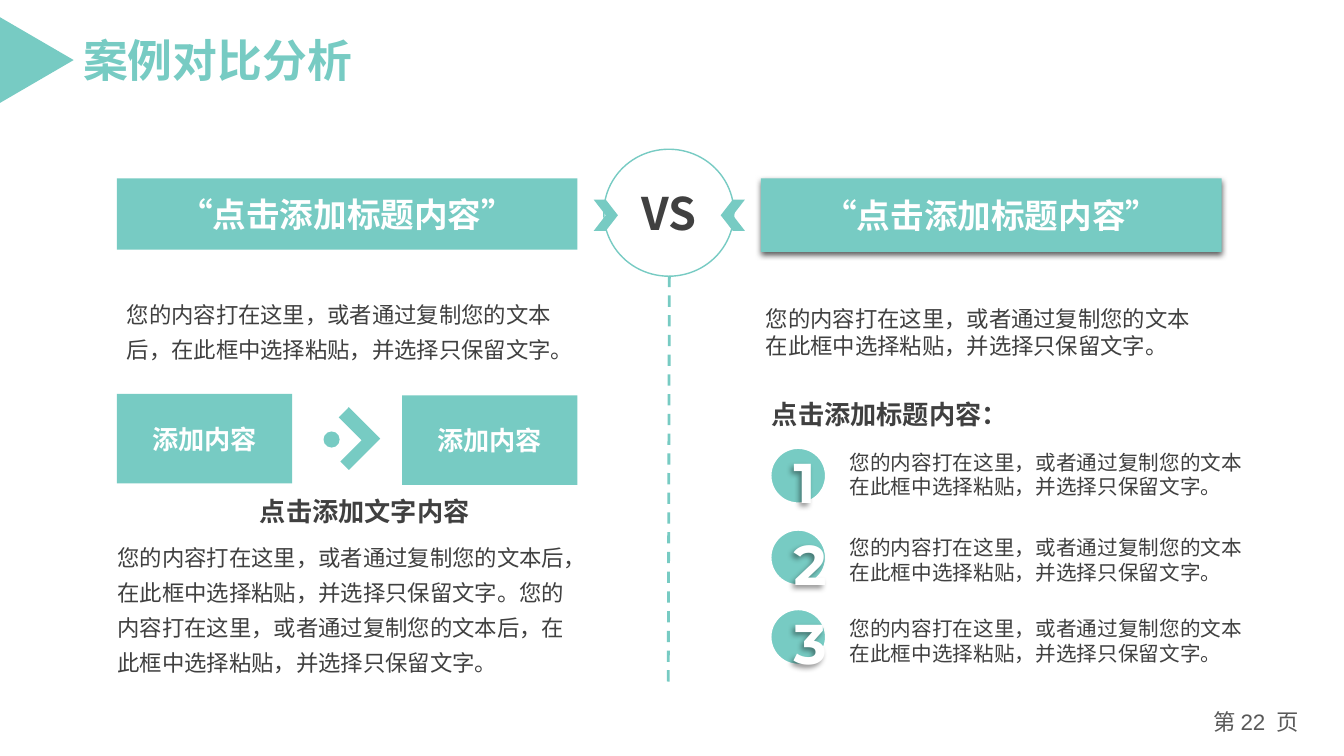
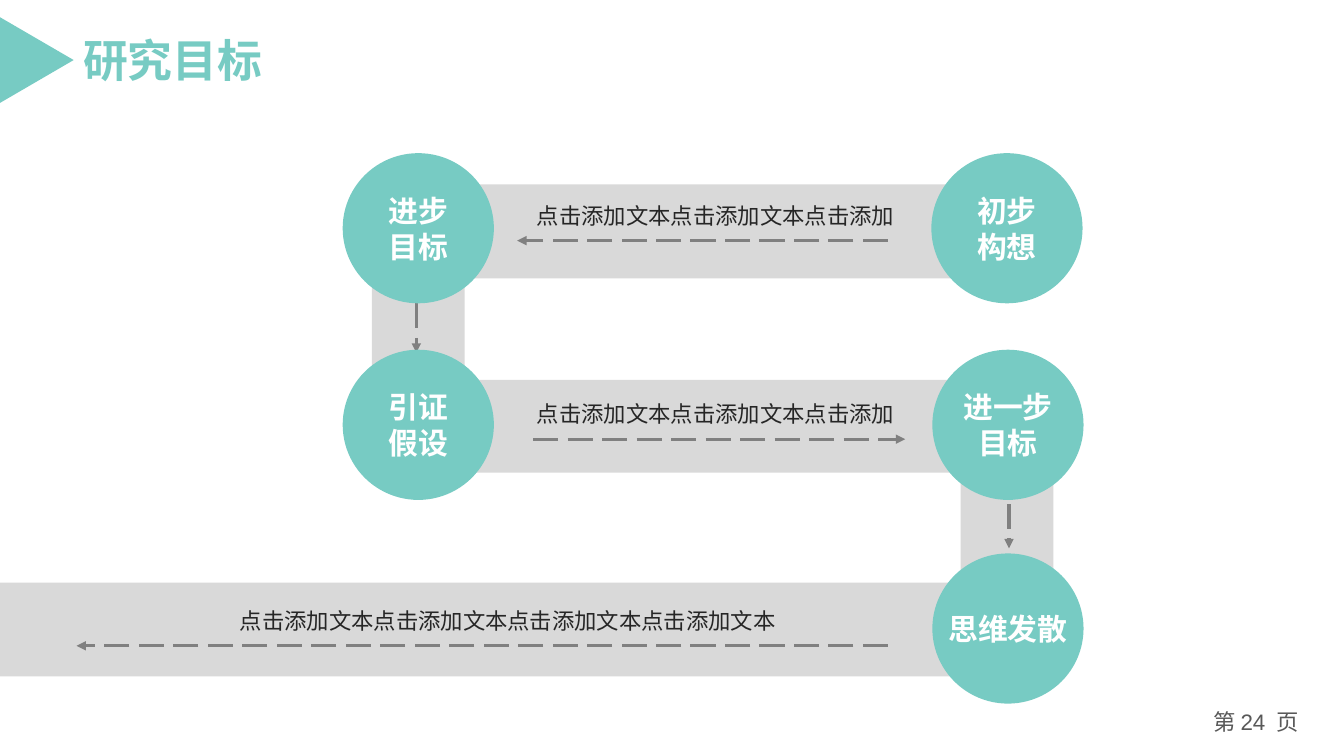
"""Builds a comparison slide and a research-goal flow slide."""
from dataclasses import dataclass

from lxml import etree
from pptx import Presentation
from pptx.dml.color import RGBColor
from pptx.enum.dml import MSO_LINE
from pptx.enum.shapes import MSO_CONNECTOR, MSO_SHAPE
from pptx.enum.text import MSO_ANCHOR, MSO_AUTO_SIZE, PP_ALIGN
from pptx.oxml.ns import qn
from pptx.util import Pt

RECT, OVAL, CHEVRON = MSO_SHAPE.RECTANGLE, MSO_SHAPE.OVAL, MSO_SHAPE.CHEVRON
TRIANGLE, CORNER = MSO_SHAPE.ISOSCELES_TRIANGLE, MSO_SHAPE.CORNER
STRAIGHT = MSO_CONNECTOR.STRAIGHT
DASH, LONG_DASH = MSO_LINE.DASH, MSO_LINE.LONG_DASH
TOP, MIDDLE = MSO_ANCHOR.TOP, MSO_ANCHOR.MIDDLE
LEFT, CENTER = PP_ALIGN.LEFT, PP_ALIGN.CENTER
GROW = MSO_AUTO_SIZE.SHAPE_TO_FIT_TEXT


@dataclass(frozen=True)
class Theme:
    """Colours, fonts and type sizes shared by the slides."""
    accent: str = "77CBC3"
    white: str = "FFFFFF"
    body: str = "404040"
    caption: str = "262626"
    footer: str = "595959"
    band: str = "D9D9D9"
    arrow: str = "808080"
    font: str = "Noto Sans CJK SC"
    latin: str = "Arial"
    digits: str = "Montserrat"
    title_size: float = 32
    banner_size: float = 24
    node_size: float = 21.3
    heading_size: float = 18.7
    body_size: float = 16
    item_size: float = 14.7
    digit_size: float = 40


THEME = Theme()
INTRO = "您的内容打在这里，或者通过复制您的文本后，在此框中选择粘贴，并选择只保留文字。"
TWO_LINES = "您的内容打在这里，或者通过复制您的文本\n在此框中选择粘贴，并选择只保留文字。"
BANNER = "“点击添加标题内容”"
STEP = "添加内容"
LANE_CAPTION = "点击添加文本点击添加文本点击添加"
LONG_CAPTION = "点击添加文本点击添加文本点击添加文本点击添加文本"


def points(*lengths):
    """Convert numbers to point lengths."""
    return [Pt(length) for length in lengths]


def style_run(run, size, color, bold=False, font=THEME.font):
    """Format one run, with the East Asian font set too."""
    run.font.size = Pt(size)
    run.font.bold = bold
    run.font.color.rgb = RGBColor.from_string(color)
    run.font.name = font
    latin = run.font._element.find(qn("a:latin"))
    east_asian = etree.Element(qn("a:ea"), typeface=THEME.font)
    latin.addnext(east_asian)


def write(shape, text, size, color, bold=False, font=THEME.font,
          align=CENTER, anchor=MIDDLE, wrap=True, spacing=None):
    """Put formatted text in a shape."""
    frame = shape.text_frame
    frame.text = text
    frame.word_wrap = wrap
    frame.vertical_anchor = anchor
    for paragraph in frame.paragraphs:
        paragraph.alignment = align
        if spacing:
            paragraph.line_spacing = spacing
        for run in paragraph.runs:
            style_run(run, size, color, bold, font)


def add_label(slide, box, text, size=THEME.body_size, color=THEME.body,
              align=LEFT, anchor=TOP, **options):
    """Add a text box that grows with its text."""
    label = slide.shapes.add_textbox(*points(*box))
    write(label, text, size, color, align=align, anchor=anchor, **options)
    label.text_frame.auto_size = GROW
    return label


def add_block(slide, kind, box, fill=THEME.accent, line=None, weight=1, rotation=0):
    """Add a flat filled shape."""
    block = slide.shapes.add_shape(kind, *points(*box))
    block.shadow.inherit = False
    block.rotation = rotation
    block.fill.solid()
    block.fill.fore_color.rgb = RGBColor.from_string(fill)
    if line:
        block.line.color.rgb = RGBColor.from_string(line)
        block.line.width = Pt(weight)
    else:
        block.line.fill.background()
    return block


def add_shadow(shape, blur, distance, degrees, opacity):
    """Give a shape a soft black outer shadow."""
    properties = shape._element.spPr
    effects = properties.find(qn("a:effectLst"))
    if effects is None:
        effects = etree.SubElement(properties, qn("a:effectLst"))
    shadow = etree.SubElement(
        effects, qn("a:outerShdw"), blurRad=str(Pt(blur)), dist=str(Pt(distance)),
        dir=str(degrees * 60000), algn="t", rotWithShape="0")
    color = etree.SubElement(shadow, qn("a:srgbClr"), val="000000")
    etree.SubElement(color, qn("a:alpha"), val=str(opacity * 1000))


def add_dashes(slide, ends, color, weight, dash, arrow=False):
    """Add a dashed line, with an arrowhead at its end if asked."""
    dashes = slide.shapes.add_connector(STRAIGHT, *points(*ends))
    dashes.line.color.rgb = RGBColor.from_string(color)
    dashes.line.width = Pt(weight)
    dashes.line.dash_style = dash
    if arrow:
        etree.SubElement(dashes.line._get_or_add_ln(), qn("a:tailEnd"), type="triangle")
    etree.SubElement(dashes._element.spPr, qn("a:effectLst"))


def add_flow_arrow(slide, *ends):
    """Add a grey arrow of the flow."""
    add_dashes(slide, ends, THEME.arrow, 2.25, LONG_DASH, arrow=True)


def add_frame(slide, title, page):
    """Add the title, its pointer and the page number."""
    heading = add_label(slide, (49.7, 18.7, 20 + 32 * len(title), 48.2), title,
                        THEME.title_size, THEME.accent, bold=True,
                        font=THEME.latin, wrap=False)
    frame = heading.text_frame
    frame.margin_left = frame.margin_right = Pt(9.6)
    frame.margin_top = frame.margin_bottom = Pt(4.8)
    add_block(slide, TRIANGLE, (-4.3, 16.6, 61.2, 52.6), rotation=90)

    footer = slide.shapes.add_textbox(*points(854, 502.6, 86.4, 28.8))
    footer.text_frame.word_wrap = True
    paragraph = footer.text_frame.paragraphs[0]
    paragraph.alignment = CENTER
    for text, font in (("第 ", THEME.font), (f"{page} ", THEME.latin), (" 页", THEME.font)):
        run = paragraph.add_run()
        run.text = text
        style_run(run, THEME.body_size, THEME.footer, font=font)


def add_banner(slide, box):
    """Add the heading bar of a column."""
    banner = add_block(slide, RECT, box)
    write(banner, BANNER, THEME.banner_size, THEME.white, bold=True)
    return banner


def add_left_case(slide, x, y, width):
    """Add the left column with its two steps."""
    add_banner(slide, (x, y, width, 51))
    add_label(slide, (x, y + 78.5, width, 57.6), INTRO, spacing=1.3)
    step_width = 125.3
    for step_x, step_y in ((x, y + 154), (x + width - step_width, y + 155)):
        step = add_block(slide, RECT, (step_x, step_y, step_width, 64))
        write(step, STEP, THEME.heading_size, THEME.white, bold=True)
    pointer = add_block(slide, CORNER, (x + 149.8, y + 170, 31.7, 31.7), rotation=225)
    pointer.adjustments[0], pointer.adjustments[1] = 0.32, 0.27
    add_block(slide, OVAL, (x + 147.6, y + 180.8, 11.5, 11.5))
    add_label(slide, (x + 95, y + 223.2, 165, 30.2), "点击添加文字内容",
              THEME.heading_size, bold=True, wrap=False)
    add_label(slide, (x - 6.5, y + 252, width + 7.2, 108), INTRO * 2, spacing=1.3)


def add_item(slide, x, y, number, text_shift):
    """Add a numbered disc with two lines of text."""
    add_block(slide, OVAL, (x, y, 43.2, 43.2), line=THEME.white, weight=5)
    digit = add_label(slide, (x + 11.2, y - 2.2, 17.3, 55.4), str(number),
                      THEME.digit_size, THEME.white, align=CENTER, bold=True,
                      font=THEME.digits)
    add_shadow(digit, 4, 3, 135, 40)
    add_label(slide, (x + 51.2, y + text_shift, 297.4, 42.5), TWO_LINES, THEME.item_size)


def add_right_case(slide, x, y, width):
    """Add the right column with its numbered items."""
    banner = add_banner(slide, (x, y, width, 52.6))
    add_shadow(banner, 4.5, 1.5, 90, 63)
    add_label(slide, (x - 3.6, y + 87.2, 340, 46), TWO_LINES)
    add_label(slide, (x + 0.7, y + 153.4, 226.8, 30.2), "点击添加标题内容：",
              THEME.heading_size, bold=True)
    items = ((190.8, -0.7), (249.2, 2.1), (306, 2.9))
    for number, (offset, text_shift) in enumerate(items, 1):
        add_item(slide, x + 5, y + offset, number, text_shift)


def add_versus(slide, x, y, width, height):
    """Add the VS badge and the divider below it."""
    center = x + width / 2
    add_dashes(slide, (center + 0.4, y + 76.3, center - 0.4, y + 386), THEME.accent, 2, DASH)
    badge = add_block(slide, OVAL, (x, y, width, height), THEME.white, THEME.accent)
    write(badge, "VS", THEME.title_size, THEME.body, bold=True)
    for chevron_x, rotation in ((x - 7.2, 0), (x + width - 9.4, 180)):
        add_block(slide, CHEVRON, (chevron_x, y + 36, 17.3, 22.3), rotation=rotation)


def add_node(slide, x, y, text):
    """Add one circle of the flow."""
    node = add_block(slide, OVAL, (x, y, 108, 107.3))
    write(node, text, THEME.node_size, THEME.white, bold=True,
          font=THEME.latin, wrap=False)


def add_lane(slide, box, caption, caption_box, arrow_span):
    """Add a grey band with a caption above an arrow."""
    y = box[1]
    caption_x, caption_shift, caption_width = caption_box
    start, end = arrow_span
    add_block(slide, RECT, box, THEME.band)
    arrow_y = y + caption_shift + 31.5
    add_flow_arrow(slide, start, arrow_y, end, arrow_y)
    add_label(slide, (caption_x, y + caption_shift, caption_width, 26.6), caption,
              color=THEME.caption, align=CENTER, anchor=MIDDLE)


def add_drop(slide, box, arrow_x, start, end):
    """Add a vertical grey band with a downward arrow."""
    add_block(slide, RECT, box, THEME.band)
    add_flow_arrow(slide, arrow_x, start, arrow_x, end)


def build_comparison(slide):
    """Build the case comparison slide."""
    add_left_case(slide, 83.5, 127.4, 329)
    add_right_case(slide, 543.6, 127.4, 329)
    add_versus(slide, 431.3, 106.6, 92.9, 90.7)
    add_frame(slide, "案例对比分析", 22)


def build_goals(slide):
    """Build the research goal flow slide."""
    left, right = 244.8, 666
    first, second, third = 109.4, 249.8, 395.3
    add_lane(slide, (0, third + 20.9, 752.4, 67), LONG_CAPTION,
             (91.4, 13.6, 543), (634.3, 54.7))
    add_lane(slide, (291.6, second + 21.6, 460.8, 66.2), LANE_CAPTION,
             (371.5, 10.8, 279.4), (380.9, 646.6))
    add_drop(slide, (686.2, 303, 66.2, 183), 720.7, 360, 391.7)
    add_lane(slide, (329, first + 22.4, 422.6, 67), LANE_CAPTION,
             (371.5, 8.6, 279.4), (634.3, 369.4))
    add_drop(slide, (265.7, 131.8, 66.2, 206), 297.4, 216.7, 252)
    nodes = ((right - 0.7, first, "初步\n构想"), (left, first, "进步\n目标"),
             (left, second, "引证\n假设"), (right, second, "进一步\n目标"),
             (right, third, "思维发散"))
    for x, y, text in nodes:
        add_node(slide, x, y, text)
    add_frame(slide, "研究目标", 24)


def main():
    """Build and save the presentation."""
    deck = Presentation()
    deck.slide_width, deck.slide_height = points(960, 540)
    for build in (build_comparison, build_goals):
        build(deck.slides.add_slide(deck.slide_layouts[6]))
    deck.save("out.pptx")


if __name__ == "__main__":
    main()
